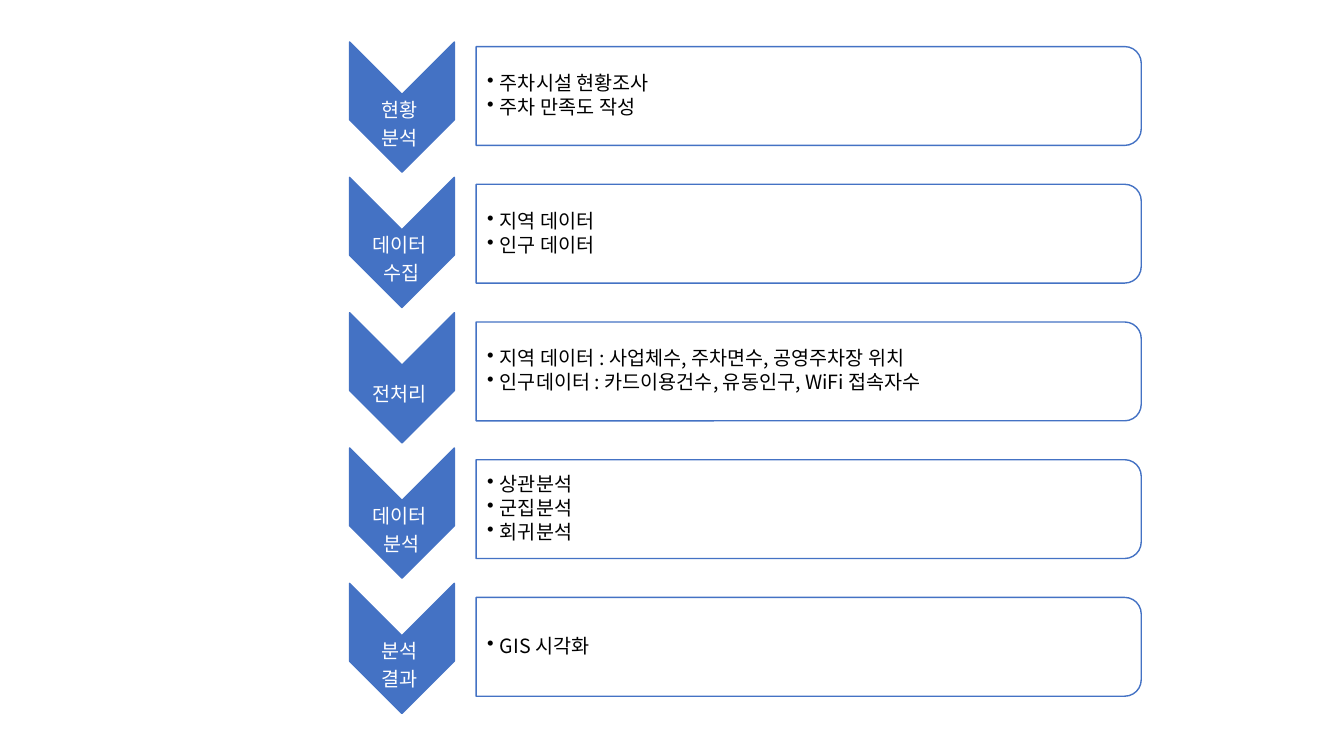
from lxml.etree import SubElement
from pptx import Presentation
from pptx.dml.color import RGBColor as RGB
from pptx.enum.shapes import MSO_SHAPE as SHAPE
from pptx.enum.text import MSO_ANCHOR as ANCHOR, PP_ALIGN as ALIGN
from pptx.oxml.ns import qn
from pptx.util import Cm, Pt

STEPS = [
    (["현황", "분석"], ["주차시설 현황조사", "주차 만족도 작성"]),
    (["데이터", " 수집"], ["지역 데이터", "인구 데이터"]),
    (["전처리"], ["지역 데이터 : 사업체수, 주차면수, 공영주차장 위치",
               "인구데이터 : 카드이용건수, 유동인구, WiFi 접속자수"]),
    (["데이터", " 분석"], ["상관분석", "군집분석", "회귀분석"]),
    (["분석", "결과"], ["GIS 시각화"]),
]

THEME = {
    "accent": RGB(0x44, 0x72, 0xC4),
    "light": RGB(0xFF, 0xFF, 0xFF),
    "dark": RGB(0, 0, 0),
    "font": "Noto Sans CJK KR",
    "size": Pt(14),
    "line": Pt(1),
    "leading": 0.9,
}

ARROW_X, ARROW_Y, ARROW_STEP = 10.13, 2.7, 3.41
CARD_X, CARD_Y, CARD_STEP = 20.38, 2.42, 3.47
ARROW_LENGTH, ARROW_WIDTH = 3.28, 2.64
CARD_WIDTH, CARD_HEIGHT = 16.76, 2.49
LABEL_SHIFT, LABEL_DROP = 0.07, 0.45


def frame(cx, cy, w, h):
    return Cm(cx - w / 2), Cm(cy - h / 2), Cm(w), Cm(h)


def add_turned(kind, cx, cy, w, h, fill):
    sp = s.shapes.add_shape(kind, *frame(cx, cy, w, h))
    sp.rotation = 90
    sp.shadow.inherit = False
    sp.fill.solid()
    sp.fill.fore_color.rgb = fill
    sp.line.color.rgb = THEME["accent"]
    sp.line.width = THEME["line"]


def add_lines(lines, cx, cy, w, h, color, after, bullets=False):
    tf = s.shapes.add_textbox(*frame(cx, cy, w, h)).text_frame
    tf.word_wrap = True
    tf.vertical_anchor = ANCHOR.MIDDLE
    tf.margin_left = Cm(0.28 if bullets else 0.03)
    tf.margin_top = tf.margin_right = tf.margin_bottom = Cm(0.03)
    tf.text = "\n".join(lines)
    for p in tf.paragraphs:
        p.alignment = ALIGN.LEFT if bullets else ALIGN.CENTER
        p.line_spacing = THEME["leading"]
        p.space_after = after
        if bullets:
            pPr = p._p.get_or_add_pPr()
            pPr.set("marL", str(Cm(0.32)))
            pPr.set("indent", str(-Cm(0.32)))
            SubElement(pPr, qn("a:buChar")).set("char", "•")
        for r in p.runs:
            r.font.name = THEME["font"]
            r.font.size = THEME["size"]
            r.font.color.rgb = color
            SubElement(r.font._element, qn("a:ea")).set("typeface", THEME["font"])


prs = Presentation()
prs.slide_width, prs.slide_height = Cm(33.87), Cm(19.05)
s = prs.slides.add_slide(prs.slide_layouts[6])

for i, (label, details) in enumerate(STEPS):
    arrow_y = ARROW_Y + i * ARROW_STEP
    card_y = CARD_Y + i * CARD_STEP
    add_turned(SHAPE.CHEVRON, ARROW_X, arrow_y, ARROW_LENGTH, ARROW_WIDTH, THEME["accent"])
    add_lines(label, ARROW_X - LABEL_SHIFT, arrow_y + LABEL_DROP, ARROW_WIDTH, 1, THEME["light"], Pt(4.6))
    add_turned(SHAPE.ROUND_2_SAME_RECTANGLE, CARD_X, card_y, CARD_HEIGHT, CARD_WIDTH, THEME["light"])
    add_lines(details, CARD_X - 0.05, card_y, 16.66, 2.24, THEME["dark"], Pt(2), bullets=True)

prs.save("out.pptx")
